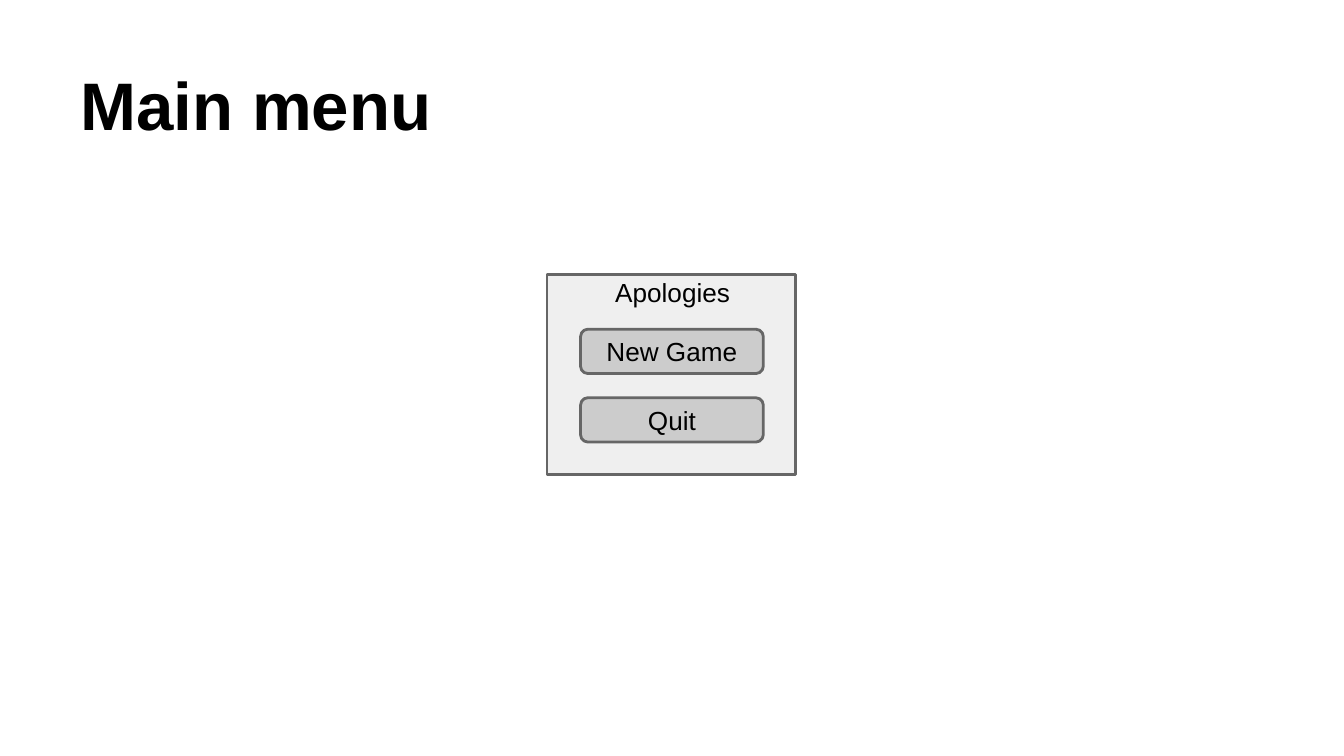
from pptx import Presentation
from pptx.util import Inches, Pt
from pptx.dml.color import RGBColor
from pptx.enum.shapes import MSO_SHAPE
from pptx.enum.text import MSO_ANCHOR, PP_ALIGN

COLORS = {"text": "000000", "panel": "EFEFEF", "button": "CCCCCC", "line": "666666"}


def write(shape, text, size, align, anchor, bold=False):
    frame = shape.text_frame
    frame.word_wrap = True
    frame.vertical_anchor = anchor
    frame.margin_left = frame.margin_right = Inches(0.1)
    frame.margin_top = frame.margin_bottom = Inches(0.1)
    frame.text = text
    para = frame.paragraphs[0]
    para.alignment = align
    para.font.name = "Arial"
    para.font.size = Pt(size)
    para.font.bold = bold
    para.font.color.rgb = RGBColor.from_string(COLORS["text"])


def draw(kind, left, top, width, height, fill):
    shape = slide.shapes.add_shape(
        kind, Inches(left), Inches(top), Inches(width), Inches(height))
    shape.shadow.inherit = False
    shape.fill.solid()
    shape.fill.fore_color.rgb = RGBColor.from_string(COLORS[fill])
    shape.line.color.rgb = RGBColor.from_string(COLORS["line"])
    shape.line.width = Pt(1.5)
    return shape


deck = Presentation()
deck.slide_width = Inches(10)
deck.slide_height = Inches(10 * 9 / 16)
slide = deck.slides.add_slide(deck.slide_layouts[5])

title = slide.shapes.title
title.left, title.top = Inches(0.5), Inches(0.23)
title.width, title.height = Inches(9), Inches(0.94)
write(title, "Main menu", 36, PP_ALIGN.LEFT, MSO_ANCHOR.BOTTOM, True)

draw(MSO_SHAPE.RECTANGLE, 4.07, 2.04, 1.85, 1.49, "panel")

label = slide.shapes.add_textbox(Inches(4.08), Inches(1.96), Inches(1.85), Inches(0.48))
write(label, "Apologies", 14, PP_ALIGN.CENTER, MSO_ANCHOR.TOP)

for row, text in enumerate(["New Game", "Quit"]):
    button = draw(MSO_SHAPE.ROUNDED_RECTANGLE, 4.32, 2.45 + row * 0.51, 1.36, 0.33, "button")
    write(button, text, 14, PP_ALIGN.CENTER, MSO_ANCHOR.MIDDLE)

deck.save("out.pptx")
